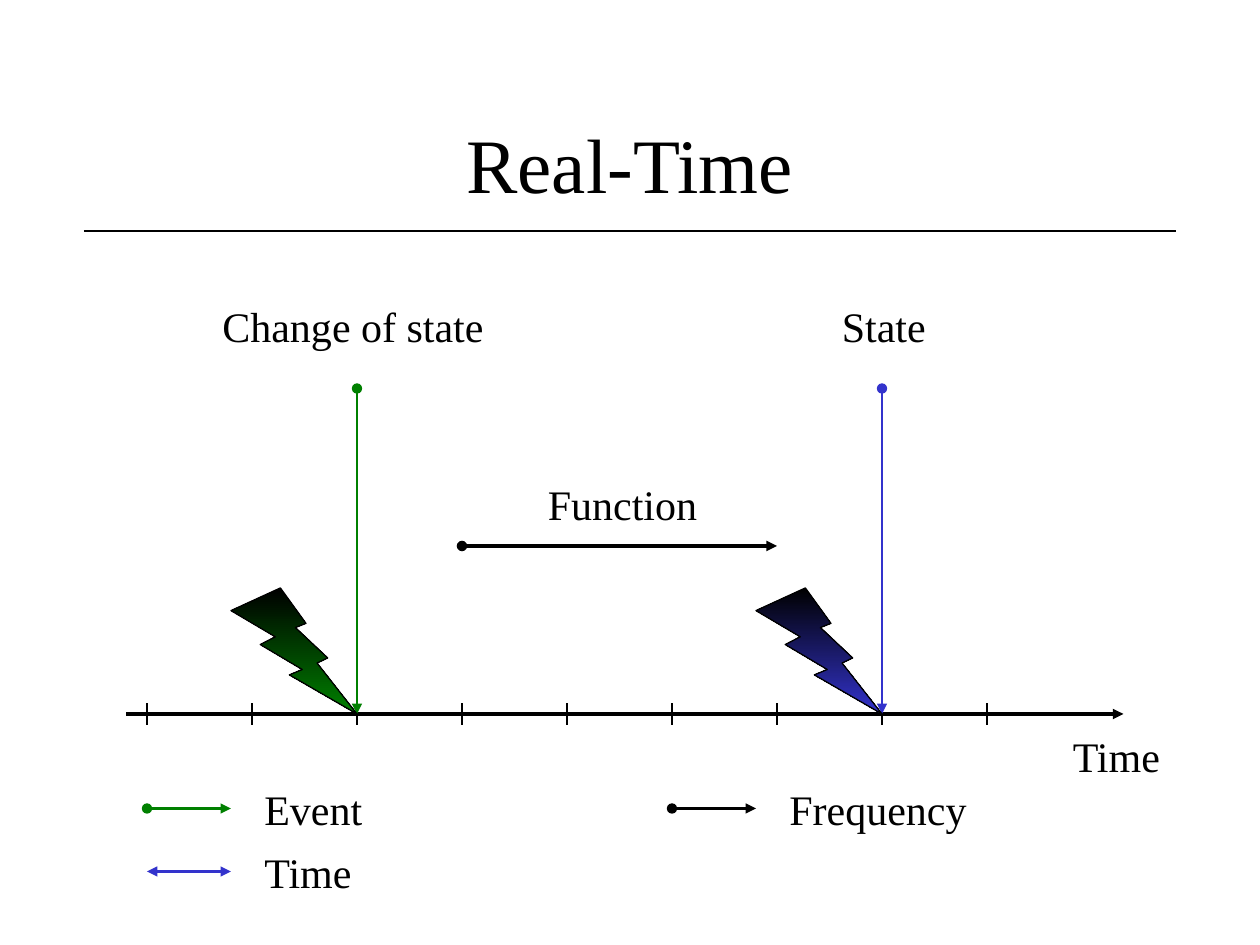
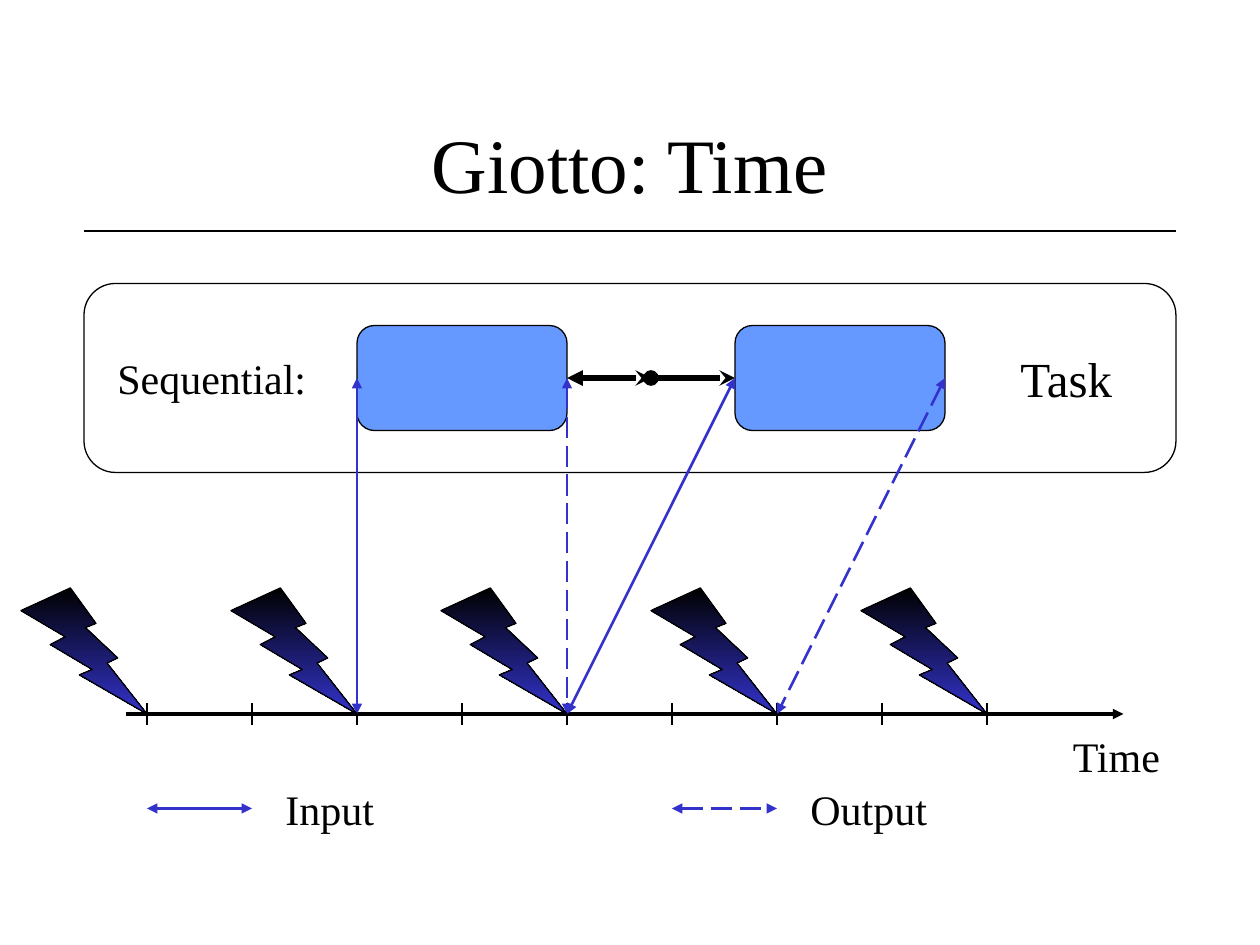
from dataclasses import dataclass
from typing import Optional

from lxml.etree import SubElement
from pptx import Presentation
from pptx.dml.color import RGBColor
from pptx.enum.dml import MSO_LINE as Dash
from pptx.enum.shapes import MSO_CONNECTOR as Link, MSO_SHAPE as Preset
from pptx.enum.text import MSO_ANCHOR as Anchor, MSO_AUTO_SIZE as Fit, PP_ALIGN as Align
from pptx.oxml.ns import qn
from pptx.util import Pt

COLORS = {"ink": "000000", "event": "008000", "time": "3333CC", "task": "6699FF"}
FONT = "Times New Roman"

# Time axis: ticks at equal steps, all lengths in points
AXIS_Y = 408
TICK_START, TICK_STEP, TICK_COUNT = 84, 60, 9
BOLT_SIZE = 72
LEGEND_Y = 462
LEFT_SIDE, RIGHT_SIDE = 1, 3


@dataclass
class Label:
    text: str
    left: float
    top: float
    width: float
    height: float = 36
    size: float = 24


@dataclass
class Arrow:
    x1: float
    y1: float
    x2: float
    y2: float
    color: str = "ink"
    width: float = 1.5
    head: Optional[str] = None
    tail: Optional[str] = None
    dashed: bool = False


@dataclass
class LegendEntry:
    arrow: Arrow
    text: str
    text_width: float


def rgb(name: str) -> RGBColor:
    return RGBColor.from_string(COLORS[name])


def tick_x(index: int) -> float:
    return TICK_START + index * TICK_STEP


def draw_label(page, label: Label, centred: bool = False):
    box = page.shapes.add_textbox(Pt(label.left), Pt(label.top), Pt(label.width), Pt(label.height))
    frame = box.text_frame
    frame.word_wrap = centred
    frame.auto_size = Fit.NONE if centred else Fit.SHAPE_TO_FIT_TEXT
    frame.vertical_anchor = Anchor.MIDDLE if centred else Anchor.TOP
    para = frame.paragraphs[0]
    para.text = label.text
    para.alignment = Align.CENTER if centred else Align.LEFT
    para.font.name, para.font.size = FONT, Pt(label.size)
    para.font.color.rgb = rgb("ink")


def draw_arrow(page, arrow: Arrow):
    connector = page.shapes.add_connector(
        Link.STRAIGHT, Pt(arrow.x1), Pt(arrow.y1), Pt(arrow.x2), Pt(arrow.y2))
    connector.line.color.rgb = rgb(arrow.color)
    connector.line.width = Pt(arrow.width)
    if arrow.dashed:
        connector.line.dash_style = Dash.LONG_DASH
    properties = connector.element.spPr
    outline = properties.find(qn("a:ln"))
    for tag, kind in (("a:headEnd", arrow.head), ("a:tailEnd", arrow.tail)):
        if kind:
            SubElement(outline, qn(tag), type=kind)
    SubElement(properties, qn("a:effectLst"))
    return connector


def draw_shape(page, preset, left: float, top: float, width: float, height: float):
    shape = page.shapes.add_shape(preset, Pt(left), Pt(top), Pt(width), Pt(height))
    shape.shadow.inherit = False
    shape.fill.background()
    shape.line.color.rgb = rgb("ink")
    shape.line.width = Pt(0.75)
    return shape


def draw_bolt(page, tick: int, color: str):
    """Lightning bolt whose tip strikes the given tick."""
    bolt = draw_shape(page, Preset.LIGHTNING_BOLT, tick_x(tick) - BOLT_SIZE,
                      AXIS_Y - BOLT_SIZE, BOLT_SIZE, BOLT_SIZE)
    bolt.fill.gradient()
    bolt.fill.gradient_angle = 270
    for stop, name in zip(bolt.fill.gradient_stops, ("ink", color)):
        stop.color.rgb = rgb(name)


def draw_legend(page, entries: list[LegendEntry]):
    for entry in entries:
        draw_arrow(page, entry.arrow)
        draw_label(page, Label(entry.text, entry.arrow.x2 + 12, entry.arrow.y2 - 18,
                               entry.text_width))


def add_timeline_page(deck, title: str):
    """Page with the shared title, rule and time axis."""
    page = deck.slides.add_slide(deck.slide_layouts[6])
    draw_label(page, Label(title, 54, 48, 612, 90, 44), centred=True)
    draw_arrow(page, Arrow(48, 132, 672, 132, width=0.75))
    draw_arrow(page, Arrow(72, AXIS_Y, 642, AXIS_Y, width=2, tail="triangle"))
    for index in range(TICK_COUNT):
        x = tick_x(index)
        draw_arrow(page, Arrow(x, AXIS_Y - 6, x, AXIS_Y + 6))
    draw_label(page, Label("Time", 606, 414, 66))
    return page


def build_real_time(deck):
    page = add_timeline_page(deck, "Real-Time")
    for label in (Label("Change of state", 120, 168, 165),
                  Label("State", 474, 168, 64),
                  Label("Function", 306, 270, 101)):
        draw_label(page, label)

    # Event and state instants, and the function between them
    for tick, color in ((2, "event"), (7, "time")):
        x = tick_x(tick)
        draw_arrow(page, Arrow(x, 222, x, AXIS_Y, color, head="oval", tail="triangle"))
        draw_bolt(page, tick, color)
    draw_arrow(page, Arrow(tick_x(3), 312, tick_x(6), 312, width=2, head="oval", tail="triangle"))

    # Legend
    left, right, length, second_y = tick_x(0), tick_x(5), 48, LEGEND_Y + 36
    draw_legend(page, [
        LegendEntry(Arrow(left, LEGEND_Y, left + length, LEGEND_Y, "event",
                          head="oval", tail="triangle"), "Event", 72),
        LegendEntry(Arrow(right, LEGEND_Y, right + length, LEGEND_Y,
                          head="oval", tail="triangle"), "Frequency", 117),
        LegendEntry(Arrow(left, second_y, left + length, second_y, "time",
                          head="triangle", tail="triangle"), "Time", 66),
    ])


def build_giotto_time(deck):
    page = add_timeline_page(deck, "Giotto: Time")

    # Task frame with its two sequential steps
    draw_shape(page, Preset.ROUNDED_RECTANGLE, 48, 162, 624, 108)
    step_width, step_top, step_height = 120, 186, 60
    middle_y = step_top + step_height / 2
    step_lefts = (204, 420)
    steps = []
    for left in step_lefts:
        step = draw_shape(page, Preset.ROUNDED_RECTANGLE, left, step_top, step_width, step_height)
        step.fill.solid()
        step.fill.fore_color.rgb = rgb("task")
        steps.append(step)
    draw_label(page, Label("Sequential:", 60, 198, 124))
    draw_label(page, Label("Task", 576, 195.6, 70, 41, 28))

    # Hand-over from the first step to the second
    gap_start, gap_end = step_lefts[0] + step_width, step_lefts[1]
    gap_middle = (gap_start + gap_end) / 2
    leaving = draw_arrow(page, Arrow(gap_start, middle_y, gap_middle, middle_y,
                                     width=3, head="triangle", tail="stealth"))
    leaving.begin_connect(steps[0], RIGHT_SIDE)
    entering = draw_arrow(page, Arrow(gap_middle, middle_y, gap_end, middle_y,
                                      width=3, head="oval", tail="stealth"))
    entering.end_connect(steps[1], LEFT_SIDE)

    # Input and output instants of each step
    for step, left, first_tick in zip(steps, step_lefts, (2, 4)):
        for side, x, tick in ((LEFT_SIDE, left, first_tick),
                              (RIGHT_SIDE, left + step_width, first_tick + 2)):
            instant = draw_arrow(page, Arrow(x, middle_y, tick_x(tick), AXIS_Y, "time",
                                             head="triangle", tail="triangle",
                                             dashed=side == RIGHT_SIDE))
            instant.begin_connect(step, side)
    for tick in range(0, TICK_COUNT, 2):
        draw_bolt(page, tick, "time")

    # Legend
    draw_legend(page, [
        LegendEntry(Arrow(tick_x(tick), LEGEND_Y, tick_x(tick + 1), LEGEND_Y, "time",
                          head="triangle", tail="triangle", dashed=dashed), text, width)
        for tick, dashed, text, width in ((0, False, "Input", 66), (5, True, "Output", 83))
    ])


def main():
    deck = Presentation()
    deck.slide_width, deck.slide_height = Pt(720), Pt(540)
    build_real_time(deck)
    build_giotto_time(deck)
    deck.save("out.pptx")


if __name__ == "__main__":
    main()
